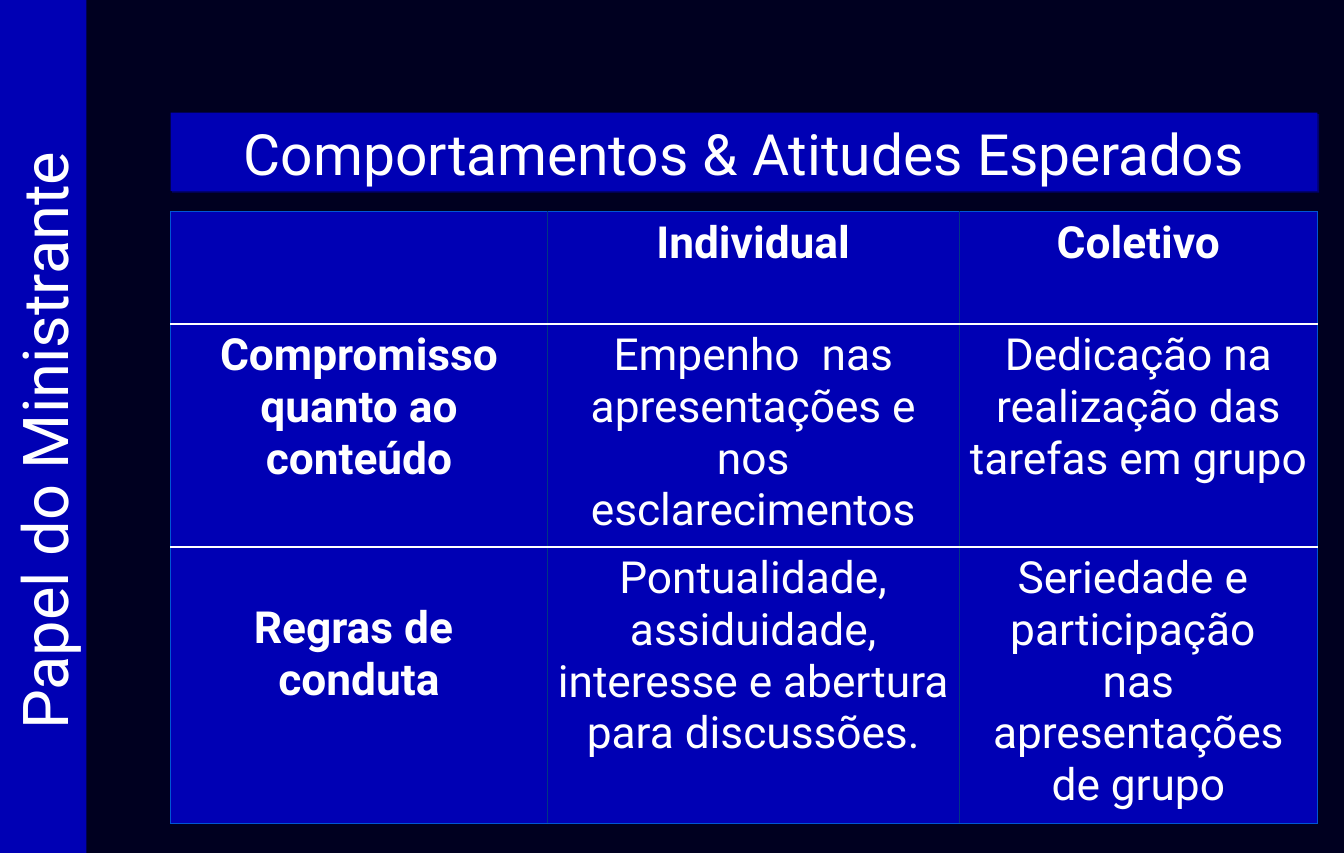
from lxml import etree
from pptx import Presentation
from pptx.dml.color import RGBColor
from pptx.enum.shapes import MSO_SHAPE
from pptx.enum.text import MSO_ANCHOR, PP_ALIGN
from pptx.oxml.ns import qn
from pptx.util import Inches, Pt

RECT = MSO_SHAPE.RECTANGLE
TOP = MSO_ANCHOR.TOP
CENTER = PP_ALIGN.CENTER

NIGHT = RGBColor(0x00, 0x00, 0x20)
BLUE = RGBColor(0x00, 0x00, 0xB4)
WHITE = RGBColor(0xFF, 0xFF, 0xFF)
EDGE = RGBColor(0x00, 0x56, 0xD4)
INNER = RGBColor(0x00, 0x36, 0x86)
SHADE = RGBColor(0x00, 0x00, 0x6B)

SLIDE_W, SLIDE_H = Pt(850.5), Pt(540)
BAND_H = 0.76
LEFT, WIDTH = 1.5, 10.08
COLS = (3.31, 3.62, 3.15)
ROWS = (0.99, 1.96, 2.43)
PAD_X, PAD_Y = 0.09, 0.05
BLANK_LINE = 0.44

BODY = {"size": Pt(28), "name": "Roboto", "bold": False}
HEAD = {**BODY, "bold": True}
TITLE = {**BODY, "size": Pt(36)}
SIDE = {**BODY, "size": Pt(40)}

CELLS = (
    ((), ("Individual",), ("Coletivo",)),
    (("Compromisso", "quanto ao conteúdo"),
     ("Empenho  nas apresentações e nos esclarecimentos",),
     ("Dedicação na realização das tarefas em grupo",)),
    (("Regras de ", "conduta"),
     ("Pontualidade, assiduidade, interesse e abertura para discussões.",),
     ("Seriedade e ", "participação ", "nas apresentações de grupo")),
)


def set_margins(box, top=PAD_Y, right=PAD_X):
    """Set the inner margins of a cell or text frame."""
    margins = {"left": PAD_X, "top": top, "right": right, "bottom": PAD_Y}
    for side, inches in margins.items():
        setattr(box, f"margin_{side}", Inches(inches))


def write_lines(tf, lines, style):
    """Write centred white paragraphs in one style."""
    for i, line in enumerate(lines):
        p = tf.add_paragraph() if i else tf.paragraphs[0]
        p.alignment = CENTER
        r = p.add_run()
        r.text = line
        r.font.color.rgb = WHITE
        for key, value in style.items():
            setattr(r.font, key, value)


def add_banner(s, box, text, style, right=PAD_X):
    """Add a blue rectangle with one line of text."""
    sp = s.shapes.add_shape(RECT, *map(Inches, box))
    sp.shadow.inherit = False
    sp.fill.solid()
    sp.fill.fore_color.rgb = BLUE
    sp.line.fill.background()
    tf = sp.text_frame
    tf.word_wrap = True
    tf.vertical_anchor = TOP
    set_margins(tf, right=right)
    write_lines(tf, (text,), style)
    return sp


def add_shadow(sp):
    """Give a shape a small hard shadow to the lower right."""
    effects = sp._element.spPr.find(qn("a:effectLst"))
    shadow = etree.SubElement(effects, qn("a:outerShdw"), dist=str(Pt(1.4)),
                              dir="2700000", algn="ctr", rotWithShape="0")
    etree.SubElement(shadow, qn("a:srgbClr"), val=str(SHADE))


def add_border(cell, tag, color, width):
    """Draw one side of a cell."""
    ln = etree.SubElement(cell._tc.get_or_add_tcPr(), qn(f"a:{tag}"),
                          w=str(Pt(width)))
    fill = etree.SubElement(ln, qn("a:solidFill"))
    etree.SubElement(fill, qn("a:srgbClr"), val=str(color))


def format_cell(cell, row, col):
    """Set margins, borders and fill by the place in the grid."""
    is_rules_label = (row, col) == (len(ROWS) - 1, 0)
    set_margins(cell, top=PAD_Y + BLANK_LINE * is_rules_label)
    edge, column_line, row_line = (EDGE, 0.45), (INNER, 0.45), (WHITE, 1.47)
    borders = {
        "lnL": column_line if col else edge,
        "lnR": column_line if col < len(COLS) - 1 else edge,
        "lnT": row_line if row else edge,
        "lnB": row_line if row < len(ROWS) - 1 else edge,
    }
    for tag, (color, width) in borders.items():
        add_border(cell, tag, color, width)
    cell.fill.solid()
    cell.fill.fore_color.rgb = BLUE


def add_grid(s, top):
    """Add the table of expected behaviours."""
    frame = s.shapes.add_table(len(ROWS), len(COLS), Inches(LEFT), Inches(top),
                               Inches(WIDTH), Inches(sum(ROWS)))
    table = frame.table
    table.first_row = table.horz_banding = False
    for column, width in zip(table.columns, COLS):
        column.width = Inches(width)
    for i, height in enumerate(ROWS):
        table.rows[i].height = Inches(height)
        for j, lines in enumerate(CELLS[i]):
            cell = table.cell(i, j)
            format_cell(cell, i, j)
            write_lines(cell.text_frame, lines, BODY if i and j else HEAD)


def main():
    """Build the slide and save it."""
    prs = Presentation()
    prs.slide_width, prs.slide_height = SLIDE_W, SLIDE_H
    s = prs.slides.add_slide(prs.slide_layouts[6])
    s.background.fill.solid()
    s.background.fill.fore_color.rgb = NIGHT
    length = SLIDE_H.inches
    shift = (length - BAND_H) / 2
    band = add_banner(s, (-shift, shift, length, BAND_H),
                      "Papel do Ministrante", SIDE, right=0.34)
    band.rotation = 270
    add_grid(s, 1.86)
    title = add_banner(s, (LEFT, 0.99, WIDTH, 0.69),
                       "Comportamentos & Atitudes Esperados", TITLE)
    add_shadow(title)
    prs.save("out.pptx")


if __name__ == "__main__":
    main()
